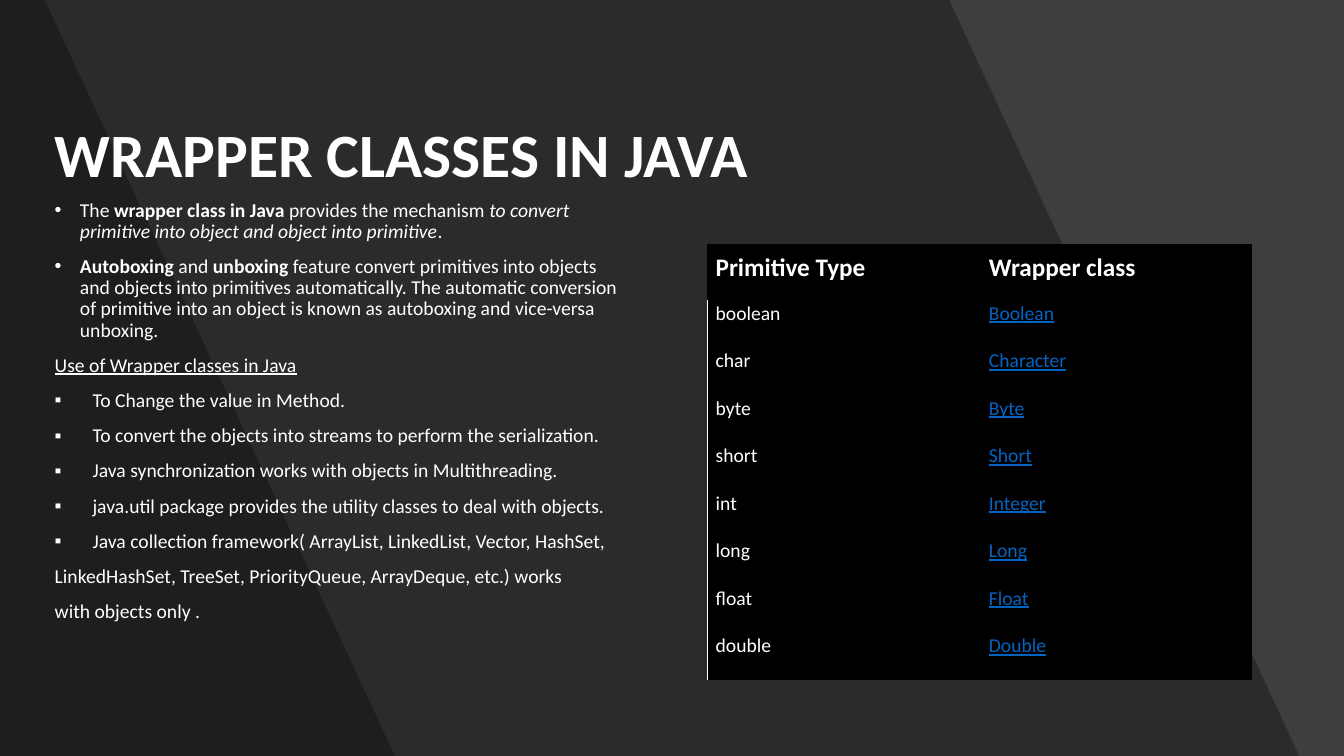
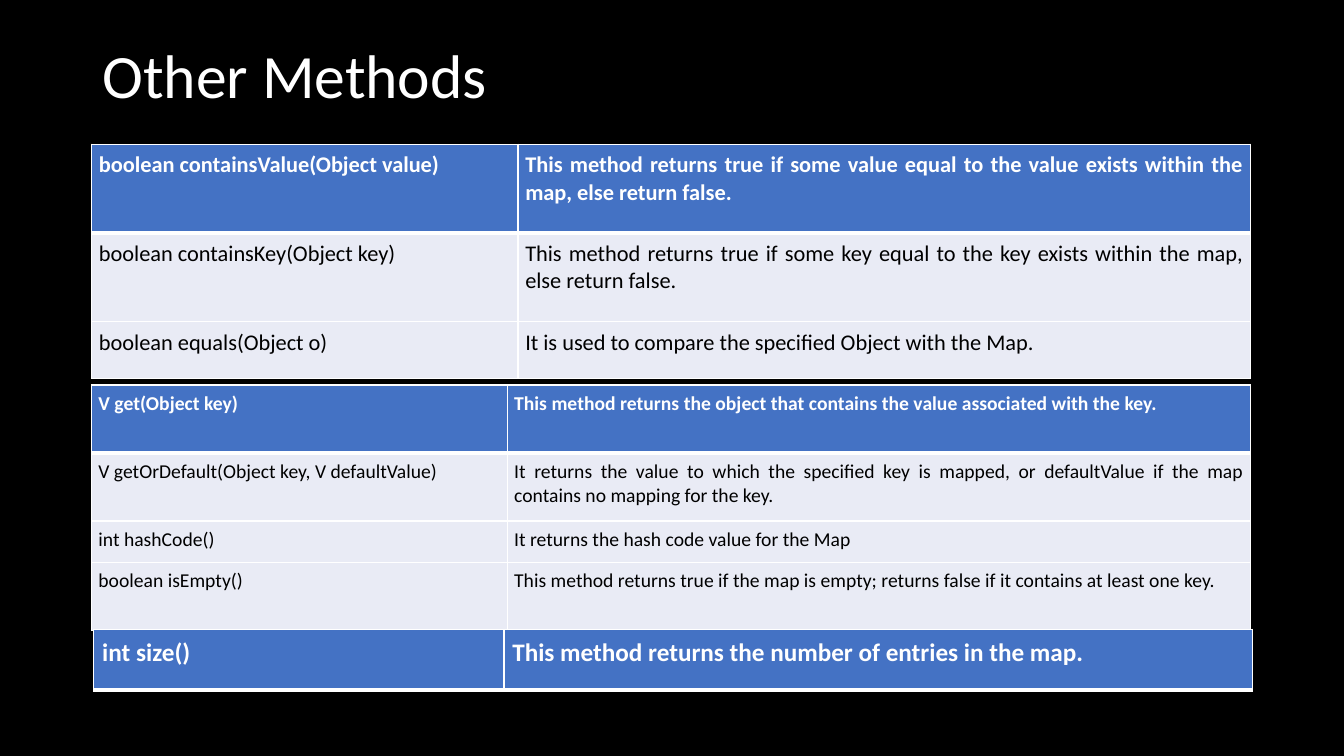
from pptx import Presentation
from pptx.dml.color import RGBColor
from pptx.enum.text import MSO_ANCHOR as Anchor, PP_ALIGN as Align
from pptx.oxml.ns import qn
from pptx.util import Pt
from lxml.etree import SubElement

COLORS = {"gray": "454545", "black": "000000", "white": "FFFFFF",
          "link": "0563C1", "header": "4472C4", "row": "E9EBF5"}
FONT = "Calibri"
SLIDE_W, SLIDE_H = 960, 540
NO_TABLE_STYLE = "{2D5ABB26-0587-4C30-8999-92F81FD0307C}"

# Outline points and opacity in percent
BANDS = [
    ([(0, 0), (SLIDE_W, 0), (SLIDE_W, SLIDE_H), (0, SLIDE_H)], 9),
    ([(0, 0), (678, 0), (928, SLIDE_H), (0, SLIDE_H)], 30),
    ([(0, 0), (32, 0), (282, SLIDE_H), (0, SLIDE_H)], 30),
]

# Bullet and hanging indent of each kind of paragraph
BULLETS = {"point": ("•", 18), "use": ("▪", 27), "plain": (None, 0)}
# Each paragraph: kind, then spans of text and style letters
WRAPPER_TEXT = [
    ("point", [("The ", ""), ("wrapper class in Java", "b"),
               (" provides the mechanism ", ""),
               ("to convert primitive into object and object into primitive", "i"), (".", "")]),
    ("point", [("Autoboxing", "b"), (" and ", ""), ("unboxing", "b"),
               (" feature convert primitives into objects and objects into primitives "
                "automatically. The automatic conversion of primitive into an object is "
                "known as autoboxing and vice-versa unboxing.", "")]),
    ("plain", [("Use of Wrapper classes in Java", "u")]),
    ("use", [("To Change the value in Method.", "")]),
    ("use", [("To convert the objects into streams to perform the serialization.", "")]),
    ("use", [("Java synchronization works with objects in Multithreading.", "")]),
    ("use", [("java.util package provides the utility classes to deal with objects.", "")]),
    ("use", [("Java collection framework( ArrayList, LinkedList, Vector, HashSet,", "")]),
    ("plain", [("LinkedHashSet, TreeSet, PriorityQueue, ArrayDeque, etc.) works", "")]),
    ("plain", [("with objects only .", "")]),
]

WRAPPERS = [
    ("Primitive Type", "Wrapper class"),
    ("boolean", "Boolean"), ("char", "Character"), ("byte", "Byte"), ("short", "Short"),
    ("int", "Integer"), ("long", "Long"), ("float", "Float"), ("double", "Double"),
]

METHOD_TABLES = [
    {"place": (65.5, 103), "widths": (304.5, 523.5), "heights": (63.4, 63.4, 40.5),
     "size": 16, "margin": 5.2, "rows": [
         ("boolean containsValue(Object value)",
          "This method returns true if some value equal to the value exists within the map, "
          "else return false."),
         ("boolean containsKey(Object key)",
          "This method returns true if some key equal to the key exists within the map, "
          "else return false."),
         ("boolean equals(Object o)",
          "It is used to compare the specified Object with the Map.")]},
    {"place": (65.5, 275), "widths": (297, 531), "heights": (48.6, 48.6, 29.5, 48.6),
     "size": 14, "margin": 4.8, "rows": [
         ("V get(Object key)",
          "This method returns the object that contains the value associated with the key."),
         ("V getOrDefault(Object key, V defaultValue)",
          "It returns the value to which the specified key is mapped, or defaultValue if the "
          "map contains no mapping for the key."),
         ("int hashCode()", "It returns the hash code value for the Map"),
         ("boolean isEmpty()",
          "This method returns true if the map is empty; returns false if it contains at "
          "least one key.")]},
    {"place": (67, 449.5), "widths": (293, 534.5), "heights": (43.6,),
     "size": 18, "margin": 6, "rows": [
         ("int size()", "This method returns the number of entries in the map.")]},
]


def rgb(name):
    return RGBColor.from_string(COLORS[name])


def add_span(para, text, size, color="white", style=""):
    """Add a run; style holds any of the letters b, i and u."""
    span = para.add_run()
    span.text = text
    font = span.font
    font.name, font.size, font.color.rgb = FONT, Pt(size), rgb(color)
    font.bold, font.italic, font.underline = "b" in style, "i" in style, "u" in style


def add_page(deck, background):
    page = deck.slides.add_slide(deck.slide_layouts[6])
    page.background.fill.solid()
    page.background.fill.fore_color.rgb = rgb(background)
    return page


def add_box(page, left, top, width, height, anchor=Anchor.TOP):
    frame = page.shapes.add_textbox(Pt(left), Pt(top), Pt(width), Pt(height)).text_frame
    frame.word_wrap = True
    frame.vertical_anchor = anchor
    return frame


def add_title(page, text, place, anchor, style=""):
    para = add_box(page, *place, anchor).paragraphs[0]
    para.line_spacing = 0.9
    add_span(para, text, 44, style=style)


def add_band(page, points, opacity):
    outline = [(Pt(x), Pt(y)) for x, y in points]
    builder = page.shapes.build_freeform(*outline[0], scale=1.0)
    builder.add_line_segments(outline[1:], close=True)
    band = builder.convert_to_shape()
    band.shadow.inherit = False
    band.line.fill.background()
    band.fill.solid()
    band.fill.fore_color.rgb = rgb("black")
    color = band.fill._xPr.find(f".//{qn('a:srgbClr')}")
    SubElement(color, qn("a:alpha"), val=str(opacity * 1000))


def add_paragraph(frame, index, kind, spans):
    para = frame.add_paragraph() if index else frame.paragraphs[0]
    para.line_spacing, para.space_before = 0.9, Pt(10)
    bullet, indent = BULLETS[kind]
    if bullet:
        props = para._p.get_or_add_pPr()
        props.set("marL", str(Pt(indent)))
        props.set("indent", str(-Pt(indent)))
        SubElement(props, qn("a:buFont"), typeface="Arial")
        SubElement(props, qn("a:buChar"), char=bullet)
    for text, style in spans:
        add_span(para, text, 14, style=style)


def add_table(page, place, widths, heights):
    """Add an unstyled table sized by its column widths and row heights."""
    frame = page.shapes.add_table(len(heights), len(widths), *map(Pt, place),
                                  Pt(sum(widths)), Pt(sum(heights)))
    table = frame.table
    table._tbl.tblPr.find(qn("a:tableStyleId")).text = NO_TABLE_STYLE
    for column, width in zip(table.columns, widths):
        column.width = Pt(width)
    for row, height in zip(table.rows, heights):
        row.height = Pt(height)
    return table


def fill_cell(cell, text, size, fill, margins, borders, color="white", style="",
              align=Align.JUSTIFY, anchor=Anchor.TOP):
    """Margins run left, top, right, bottom; borders map a side (L, R, T, B) to a width."""
    props = cell._tc.get_or_add_tcPr()
    for side in "LRTB":
        if side in borders:
            line = SubElement(props, qn(f"a:ln{side}"), w=str(Pt(borders[side])))
            paint = SubElement(line, qn("a:solidFill"))
            SubElement(paint, qn("a:srgbClr"), val=COLORS["white"])
    cell.fill.solid()
    cell.fill.fore_color.rgb = rgb(fill)
    cell.margin_left, cell.margin_top, cell.margin_right, cell.margin_bottom = map(Pt, margins)
    cell.vertical_anchor = anchor
    para = cell.text_frame.paragraphs[0]
    para.alignment = align
    add_span(para, text, size, color, style)


def add_wrapper_table(page):
    heights = [39.6] + [33.95] * (len(WRAPPERS) - 1)
    table = add_table(page, (505.2, 174.4), (195.2, 194), heights)
    for r, row in enumerate(WRAPPERS):
        for c, text in enumerate(row):
            cell = table.cell(r, c)
            if r == 0:
                fill_cell(cell, text, 18, "black", (6, 1.5, 9, 12), {}, style="b",
                          align=Align.LEFT, anchor=Anchor.BOTTOM)
            else:
                color, style, borders = ("link", "u", {}) if c else ("white", "", {"L": 1})
                fill_cell(cell, text, 14, "black", (6, 1.5, 6.5, 12), borders, color, style)


def add_method_table(page, place, widths, heights, size, margin, rows):
    table = add_table(page, place, widths, heights)
    for r, row in enumerate(rows):
        if r == 0:
            fill, color, style = "header", "white", "b"
            borders = {"L": 1, "R": 1, "T": 1, "B": 3}
        else:
            fill, color, style = "row", "black", ""
            borders = {"L": 1, "R": 1, "B": 1}
        for c, text in enumerate(row):
            fill_cell(table.cell(r, c), text, size, fill, [margin] * 4, borders, color, style)


def add_wrapper_page(deck):
    page = add_page(deck, "gray")
    for points, opacity in BANDS:
        add_band(page, points, opacity)
    add_title(page, "WRAPPER CLASSES IN JAVA", (32, 35.5, 862.5, 104.5), Anchor.BOTTOM, "b")
    frame = add_box(page, 32, 139.5, 422.5, 384)
    for index, (kind, spans) in enumerate(WRAPPER_TEXT):
        add_paragraph(frame, index, kind, spans)
    add_wrapper_table(page)


def add_methods_page(deck):
    page = add_page(deck, "black")
    add_title(page, "Other Methods", (66, 28.5, 826.5, 55.5), Anchor.MIDDLE)
    for methods in METHOD_TABLES:
        add_method_table(page, **methods)


def main():
    deck = Presentation()
    deck.slide_width, deck.slide_height = Pt(SLIDE_W), Pt(SLIDE_H)
    add_wrapper_page(deck)
    add_methods_page(deck)
    deck.save("out.pptx")


if __name__ == "__main__":
    main()
